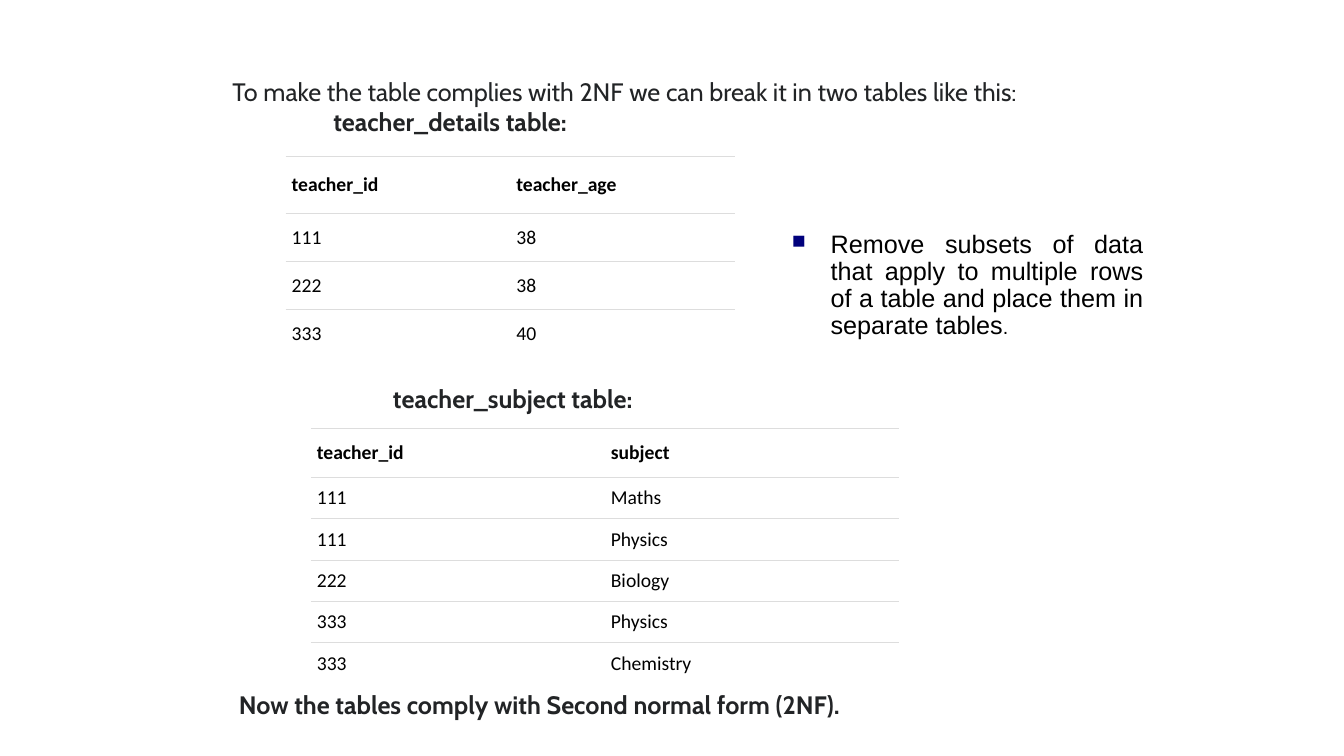
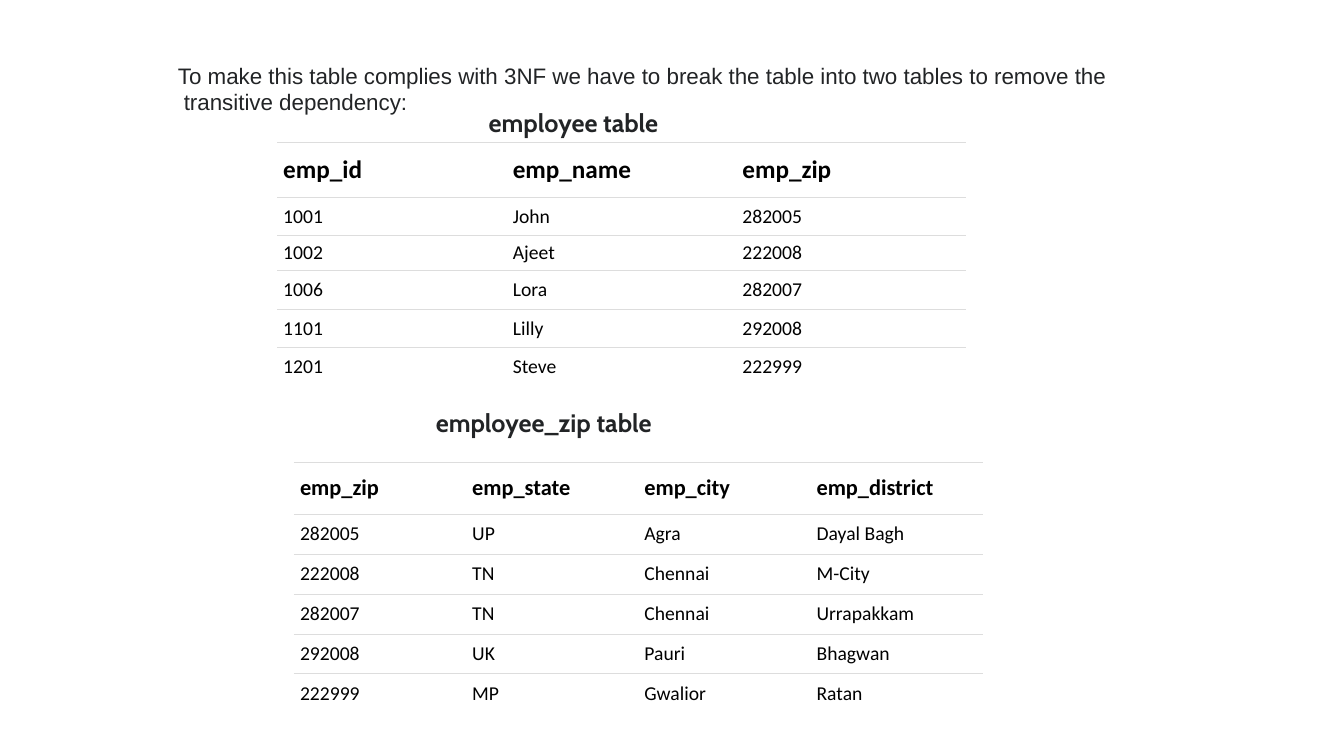
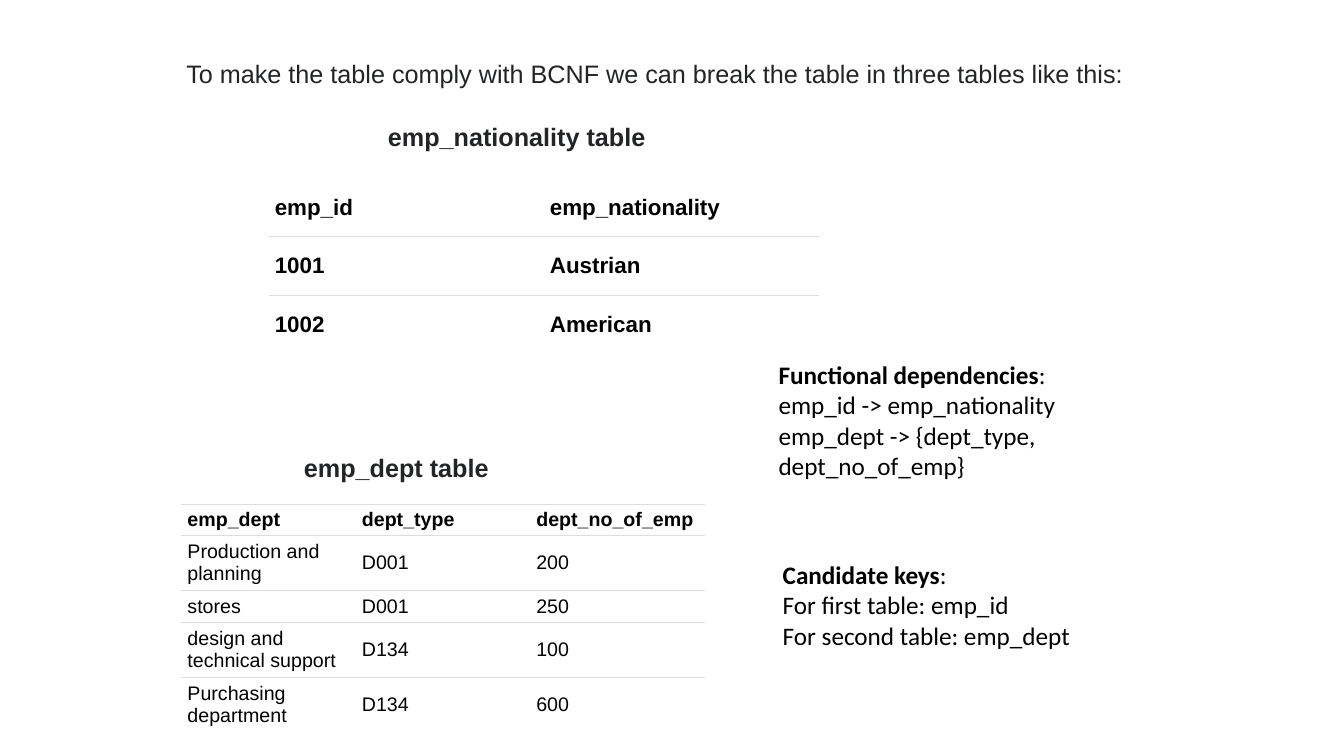
from lxml.etree import SubElement as Sub
from pptx import Presentation
from pptx.dml.color import RGBColor
from pptx.enum.shapes import MSO_SHAPE as Kind
from pptx.enum.text import MSO_ANCHOR as Anchor, PP_ALIGN as Align
from pptx.oxml.ns import qn
from pptx.util import Inches, Pt

COLS, ROWS = 160, 90
INK, BLACK, WHITE, RULE, MARK = "222426", "000000", "FFFFFF", "DDDDDD", "00007C"


def unit(count):
    """Return the length of a number of grid steps."""
    return Inches(count / 12)


def tint(code):
    """Return the colour of a hex string."""
    return RGBColor.from_string(code)


def style(para, face, size, color=INK, bold=False):
    """Set the font of a paragraph."""
    font = para.font
    font.name, font.size, font.bold = face, Pt(size), bold
    font.color.rgb = tint(color)


def panel(slide, spot, fill=None, anchor=Anchor.TOP):
    """Add a text box, or a filled rectangle, and return its text frame."""
    place = [unit(part) for part in spot]
    if fill:
        shape = slide.shapes.add_shape(Kind.RECTANGLE, *place)
        shape.shadow.inherit = False
        shape.fill.solid()
        shape.fill.fore_color.rgb = tint(fill)
        shape.line.fill.background()
    else:
        shape = slide.shapes.add_textbox(*place)
    frame = shape.text_frame
    frame.word_wrap = True
    frame.vertical_anchor = anchor
    return frame


def line(frame, text, face, size=18, color=INK, bold=False, indent=0, gap=0):
    """Write the next paragraph of a frame."""
    fresh = not frame.paragraphs[0].runs
    para = frame.paragraphs[0] if fresh else frame.add_paragraph()
    para.alignment = Align.LEFT
    if indent:
        para._p.get_or_add_pPr().set("marL", str(unit(indent)))
    if gap:
        para.space_before = Pt(gap)
    style(para, face, size, color, bold)
    para.add_run().text = text
    return para


def label(slide, spot, text, face="Cabin", fill=None):
    """Add a bold one-line caption."""
    line(panel(slide, spot, fill), text, face, bold=True)


def facts(slide, spot, head, items):
    """Add a bold heading with a colon and plain lines below it."""
    frame = panel(slide, spot)
    first = line(frame, head, "Calibri", color=BLACK)
    first.runs[0].font.bold = True
    first.add_run().text = ":"
    for item in items:
        line(frame, item, "Calibri", color=BLACK)


def point(slide, spot, text, stop):
    """Add a justified paragraph with a square bullet and a small full stop."""
    para = panel(slide, spot).paragraphs[0]
    para.alignment = Align.JUSTIFY
    para.line_spacing = Pt(19.3)
    props = para._p.get_or_add_pPr()
    props.set("marL", str(unit(4.7)))
    props.set("indent", str(-unit(4.6)))
    Sub(Sub(props, qn("a:buClr")), qn("a:srgbClr"), val=MARK)
    Sub(props, qn("a:buSzPct"), val="75000")
    Sub(props, qn("a:buChar"), char="■")
    style(para, "Arial", 18, BLACK)
    para.add_run().text = text
    end = para.add_run()
    end.text = stop
    end.font.size = Pt(14)


def edges(cell, last):
    """Rule a cell above and below, leaving its sides and the last row open."""
    props = cell._tc.get_or_add_tcPr()
    for side in "LRTB":
        edge = Sub(props, qn("a:ln" + side), w=str(Pt(0.75)))
        if side == "T" or (side == "B" and not last):
            Sub(Sub(edge, qn("a:solidFill")), qn("a:srgbClr"), val=RULE)
        else:
            Sub(edge, qn("a:noFill"))


def grid(slide, spot, highs, data, face="Calibri", head=14, body=14, strong=False):
    """Add a ruled table with equal columns and a bold first row."""
    left, top, wide = spot
    count = len(data[0])
    table = slide.shapes.add_table(
        len(data), count, *map(unit, (left, top, wide, sum(highs)))).table
    table.first_row = table.horz_banding = False
    for col in table.columns:
        col.width = unit(wide / count)
    for at, (high, words) in enumerate(zip(highs, data)):
        table.rows[at].height = unit(high)
        for cell, word in zip(table.rows[at].cells, words):
            edges(cell, at == len(data) - 1)
            cell.fill.solid()
            cell.fill.fore_color.rgb = tint(WHITE)
            cell.margin_left = cell.margin_right = Inches(0.06)
            cell.margin_top = cell.margin_bottom = Inches(0.04)
            cell.vertical_anchor = Anchor.MIDDLE
            cell.text = word
            style(cell.text_frame.paragraphs[0], face, body if at else head,
                  BLACK, strong or at == 0)


def second(slide):
    """Build the slide on the second normal form."""
    grid(slide, (34, 18.6, 53.5), [6.8] + [5.73] * 3, [
        ("teacher_id", "teacher_age"),
        ("111", "38"), ("222", "38"), ("333", "40")])
    grid(slide, (37, 51, 70), [5.85] + [4.92] * 5, [
        ("teacher_id", "subject"),
        ("111", "Maths"), ("111", "Physics"), ("222", "Biology"),
        ("333", "Physics"), ("333", "Chemistry")])
    intro = panel(slide, (26.5, 8.4, 113, 8.5), WHITE, Anchor.MIDDLE)
    line(intro, "To make the table complies with 2NF we can break it "
         "in two tables like this:", "Cabin")
    line(intro, "teacher_details table:", "Cabin", bold=True, indent=12)
    label(slide, (27.25, 81.5, 100, 4.8),
          "Now the tables comply with Second normal form (2NF).")
    label(slide, (45.6, 45.1, 34.5, 4.8), "teacher_subject table:")
    point(slide, (93, 27, 44.3, 14),
          "Remove subsets of data that apply to multiple rows of a table "
          "and place them in separate tables", ".")


def third(slide):
    """Build the slide on the third normal form."""
    grid(slide, (33, 17, 82), [6.55, 4.5, 4.2, 4.55, 4.6, 4.5], [
        ("emp_id", "emp_name", "emp_zip"),
        ("1001", "John", "282005"), ("1002", "Ajeet", "222008"),
        ("1006", "Lora", "282007"), ("1101", "Lilly", "292008"),
        ("1201", "Steve", "222999")], head=18)
    grid(slide, (35, 55, 82), [6.2] + [4.76] * 5, [
        ("emp_zip", "emp_state", "emp_city", "emp_district"),
        ("282005", "UP", "Agra", "Dayal Bagh"),
        ("222008", "TN", "Chennai", "M-City"),
        ("282007", "TN", "Chennai", "Urrapakkam"),
        ("292008", "UK", "Pauri", "Bhagwan"),
        ("222999", "MP", "Gwalior", "Ratan")], head=16)
    intro = panel(slide, (20, 6.7, 117, 7.7), WHITE, Anchor.MIDDLE)
    line(intro, "To make this table complies with 3NF we have to break "
         "the table into two tables to remove the", "Arial", 16)
    line(intro, "transitive dependency:", "Arial", 16, indent=0.7)
    label(slide, (50.7, 47.9, 31.2, 4.8), "employee_zip table")
    label(slide, (57, 12.2, 24.4, 4.8), "employee table")


def boyce(slide):
    """Build the slide on the Boyce-Codd normal form."""
    grid(slide, (32, 21.2, 65.5), [7] * 3, [
        ("emp_id", "emp_nationality"),
        ("1001", "Austrian"), ("1002", "American")],
        "Arial", 16, 16, True)
    intro = panel(slide, (21, 6.4, 115, 15.6), WHITE)
    line(intro, "To make the table comply with BCNF we can break the table "
         "in three tables like this:", "Arial")
    line(intro, "emp_nationality table", "Arial", bold=True, indent=24, gap=23)
    grid(slide, (21.6, 60, 62.3), [3, 5.15, 3, 5.15, 5.15], [
        ("emp_dept", "dept_type", "dept_no_of_emp"),
        ("Production and planning", "D001", "200"),
        ("stores", "D001", "250"),
        ("design and technical support", "D134", "100"),
        ("Purchasing department", "D134", "600")], "Arial")
    label(slide, (35, 53.2, 25.5, 4.8), "emp_dept table", "Arial", WHITE)
    facts(slide, (91.5, 42.2, 45, 15.7), "Functional dependencies", [
        "emp_id -> emp_nationality",
        "emp_dept -> {dept_type, dept_no_of_emp}"])
    facts(slide, (92, 66, 44, 12.1), "Candidate keys", [
        "For first table: emp_id", "For second table: emp_dept"])


def main():
    """Build and save the deck."""
    deck = Presentation()
    deck.slide_width, deck.slide_height = unit(COLS), unit(ROWS)
    for build in (second, third, boyce):
        build(deck.slides.add_slide(deck.slide_layouts[6]))
    deck.save("out.pptx")


if __name__ == "__main__":
    main()
